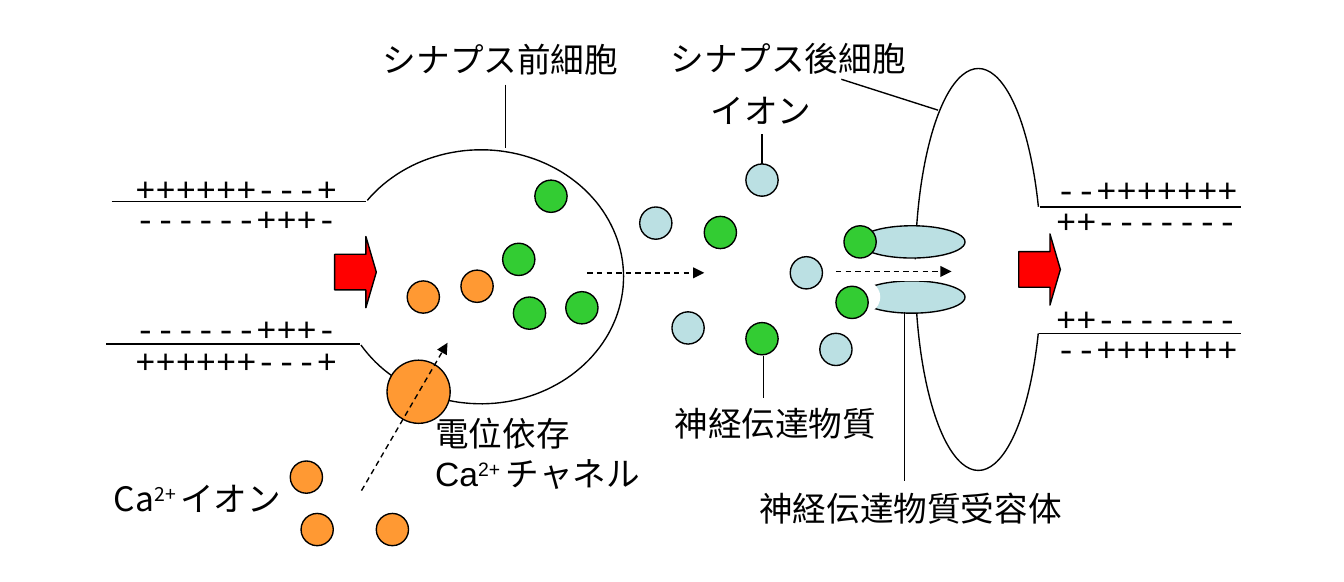
import math

from lxml import etree
from pptx import Presentation
from pptx.dml.color import RGBColor
from pptx.enum.dml import MSO_LINE
from pptx.enum.shapes import MSO_CONNECTOR, MSO_SHAPE
from pptx.enum.text import MSO_AUTO_SIZE, PP_ALIGN
from pptx.oxml.ns import qn
from pptx.util import Emu, Pt

PX = 9144  # 100 px to the inch
ELLIPSE, RECT, ARROW = MSO_SHAPE.OVAL, MSO_SHAPE.RECTANGLE, MSO_SHAPE.RIGHT_ARROW
STRAIGHT, DASH = MSO_CONNECTOR.STRAIGHT, MSO_LINE.DASH
LEFT, CENTER = PP_ALIGN.LEFT, PP_ALIGN.CENTER

BLACK = RGBColor(0x00, 0x00, 0x00)
WHITE = RGBColor(0xFF, 0xFF, 0xFF)
RED = RGBColor(0xFF, 0x00, 0x00)
ORANGE = RGBColor(0xFF, 0x99, 0x33)
GREEN = RGBColor(0x33, 0xCC, 0x33)
PALE_BLUE = RGBColor(0xBB, 0xE0, 0xE3)
SANS, MONO, CJK = "Arial", "Courier New", "Noto Sans CJK JP"

# Boxes are (left, top, width, height); lines are (x1, y1, x2, y2).
POSTSYNAPTIC_CELL = (681, 51, 94, 299)
POSTSYNAPTIC_OPENING = (753, 154, 39, 94)
BOUTON = {"centre": (358, 206), "radii": (106, 94.5), "degrees": (147.5, -143)}
CALCIUM_CHANNEL = (288, 268, 47, 47)
RECEPTORS = [(639, 168, 79, 24), (639, 209, 79, 24)]
BINDING_SITE = (631, 209, 24, 24)
RECEPTOR_PORE = (657, 193, 39, 16)
IMPULSES = [(249, 176, 31, 53), (758, 174, 31, 53)]

PARTICLE_SIZE = 24
PARTICLES = {
    ORANGE: [(216, 343), (280, 382), (343, 201), (224, 382), (303, 209)],
    GREEN: [(398, 134), (421, 217), (374, 181), (555, 240), (382, 221),
            (628, 168), (524, 161), (622, 213)],
    PALE_BLUE: [(555, 122), (476, 154), (500, 232), (610, 248), (588, 191)],
}

MEMBRANES = [(83, 150, 272, 150), (79, 256, 268, 256),
             (774, 154, 923, 154), (773, 248, 923, 248)]
LEADERS = [(376, 63, 376, 110), (626, 59, 698, 82), (568, 296, 568, 265),
           (567, 122, 567, 100), (673, 232, 673, 358)]
FLOWS = [(269, 365, 333, 255), (437, 203, 524, 203), (622, 202, 708, 202)]

# A text is a list of paragraphs, each a list of runs; CHARGE is raised.
CHARGE = "2+ "
CALCIUM = ["Ca", CHARGE]
LABELS = [
    ((75, 351, 153, 40), [CALCIUM + ["イオン"]], {"font": CJK}),
    ((275, 24, 195, 40), [["シナプス前細胞"]], {}),
    ((489, 23, 195, 40), [["シナプス後細胞"]], {}),
    ((492, 295, 170, 40), [["神経伝達物質"]], {}),
    ((314, 302, 180, 70), [["電位依存"], CALCIUM + ["チャネル"]], {}),
    ((519, 62, 95, 40), [["イオン"]], {}),
    ((555, 358, 245, 40), [["神経伝達物質受容体"]], {"align": CENTER}),
]
# Each fibre: left, width, row tops, outer charges, inner charges.
FIBRES = [
    (91, 170, (120, 142, 224, 248), "++++++---+", "------+++-"),
    (776, 155, (121, 144, 217, 239), "--+++++++", "++-------"),
]


def px(*lengths):
    return [Emu(round(length * PX)) for length in lengths]


def add_part(shapes, kind, box, fill=None, outlined=True):
    part = shapes.add_shape(kind, *px(*box))
    paint(part, fill, outlined)
    return part


def paint(part, fill=None, outlined=True):
    part.shadow.inherit = False
    if fill is None:
        part.fill.background()
    else:
        part.fill.solid()
        part.fill.fore_color.rgb = fill
    if outlined:
        part.line.color.rgb = BLACK
        part.line.width = Pt(0.75)
    else:
        part.line.fill.background()


def add_bouton(shapes):
    """Draw the open elliptical outline of the presynaptic terminal."""
    (cx, cy), (rx, ry) = BOUTON["centre"], BOUTON["radii"]
    start, end = BOUTON["degrees"]
    steps = 120
    angles = [math.radians(start + (end - start) * i / steps) for i in range(steps + 1)]
    points = [px(cx + rx * math.cos(a), cy + ry * math.sin(a)) for a in angles]
    builder = shapes.build_freeform(*points[0])
    builder.add_line_segments(points[1:], close=False)
    paint(builder.convert_to_shape())


def add_line(shapes, ends, flow=False):
    """Draw a plain line, or a dashed arrow when it shows a flow."""
    line = shapes.add_connector(STRAIGHT, *px(*ends))
    line.line.color.rgb = BLACK
    line.line.width = Pt(0.75)
    if flow:
        line.line.dash_style = DASH
        outline = line._element.spPr.find(qn("a:ln"))
        etree.SubElement(outline, qn("a:tailEnd"), type="triangle")
    etree.SubElement(line._element.spPr, qn("a:effectLst"))


def add_text(shapes, box, paragraphs, font=SANS, size=18, align=LEFT):
    frame = shapes.add_textbox(*px(*box)).text_frame
    frame.word_wrap = False
    frame.auto_size = MSO_AUTO_SIZE.SHAPE_TO_FIT_TEXT
    for index, runs in enumerate(paragraphs):
        paragraph = frame.add_paragraph() if index else frame.paragraphs[0]
        paragraph.alignment = align
        for text in runs:
            run = paragraph.add_run()
            run.text = text
            run.font.name = font
            run.font.size = Pt(size)
            run.font.color.rgb = BLACK
            etree.SubElement(run.font._element, qn("a:ea"), typeface=CJK)
            if text == CHARGE:
                run.font._element.set("baseline", "30000")


def main():
    deck = Presentation()
    deck.slide_width, deck.slide_height = px(1000, 433)
    shapes = deck.slides.add_slide(deck.slide_layouts[6]).shapes

    add_part(shapes, ELLIPSE, POSTSYNAPTIC_CELL)
    add_part(shapes, RECT, POSTSYNAPTIC_OPENING, WHITE, outlined=False)
    add_bouton(shapes)
    add_part(shapes, ELLIPSE, CALCIUM_CHANNEL, ORANGE)
    for receptor in RECEPTORS:
        add_part(shapes, ELLIPSE, receptor, PALE_BLUE)
    add_part(shapes, ELLIPSE, BINDING_SITE, WHITE, outlined=False)
    add_part(shapes, RECT, RECEPTOR_PORE, WHITE, outlined=False)

    for impulse in IMPULSES:
        arrow = add_part(shapes, ARROW, impulse, RED)
        arrow.adjustments[0], arrow.adjustments[1] = 0.5, 0.25
    for colour, corners in PARTICLES.items():
        for corner in corners:
            add_part(shapes, ELLIPSE, (*corner, PARTICLE_SIZE, PARTICLE_SIZE), colour)

    for ends in MEMBRANES + LEADERS:
        add_line(shapes, ends)
    for ends in FLOWS:
        add_line(shapes, ends, flow=True)

    for box, paragraphs, style in LABELS:
        add_text(shapes, box, paragraphs, **style)
    for left, width, tops, outer, inner in FIBRES:
        for top, charges in zip(tops, (outer, inner, inner, outer)):
            add_text(shapes, (left, top, width, 40), [[charges]], font=MONO)

    deck.save("out.pptx")


if __name__ == "__main__":
    main()
